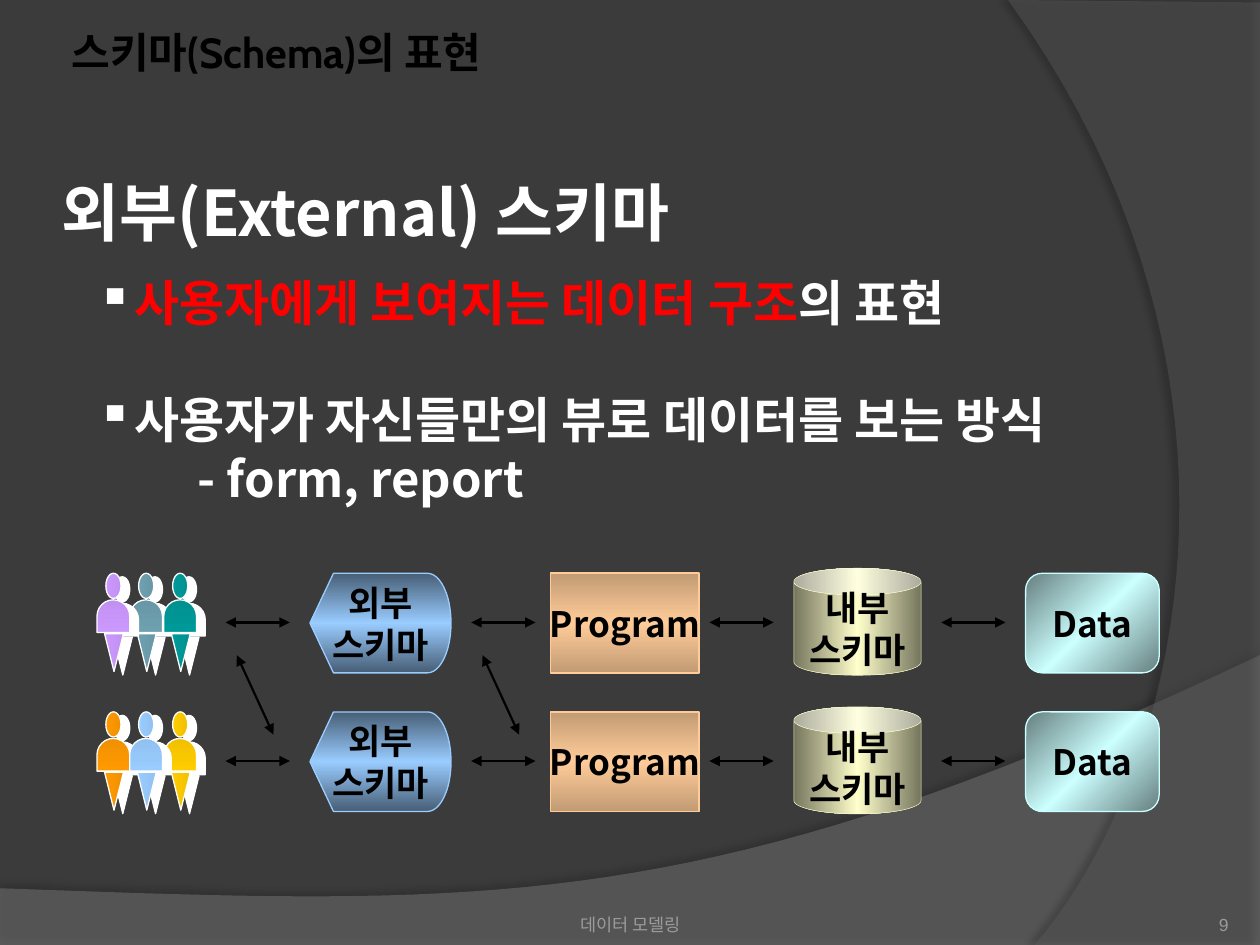
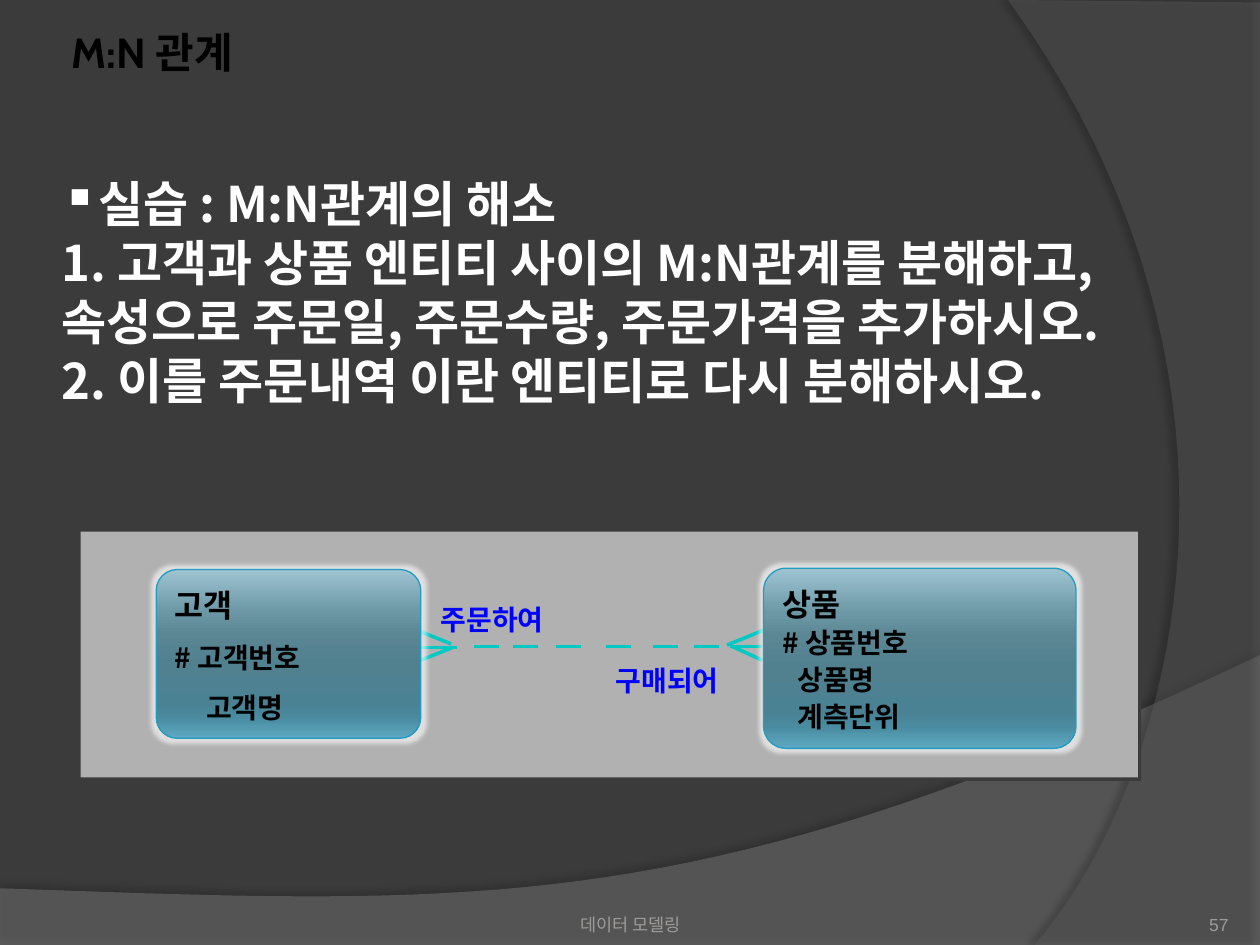
import pptx
import pptx.dml.color
import pptx.enum.shapes
import pptx.enum.text
import pptx.oxml
import pptx.oxml.ns
import pptx.util

Inches, Pt = pptx.util.Inches, pptx.util.Pt
qn = pptx.oxml.ns.qn
SHAPE = pptx.enum.shapes.MSO_SHAPE
STRAIGHT = pptx.enum.shapes.MSO_CONNECTOR.STRAIGHT
ALIGN, ANCHOR = pptx.enum.text.PP_ALIGN, pptx.enum.text.MSO_ANCHOR
NS = pptx.oxml.ns.nsdecls("a")
KOREAN = "Noto Sans CJK KR"
BACK, GREY, WHITE, BLACK = "3B3B3B", "9D9B9A", "FFFFFF", "000000"
RED, BLUE, TEAL = "FF0000", "0000FF", "00C8C3"


def paint(fill, *colors, angle=0, stops=None, alpha=100):
    """One colour gives a solid fill, several give a gradient (angle clockwise)."""
    if len(colors) == 1:
        fill.solid()
        fill.fore_color.rgb = pptx.dml.color.RGBColor.from_string(colors[0])
        if alpha < 100:
            color = fill._xPr.find(".//" + qn("a:srgbClr"))
            color.append(pptx.oxml.parse_xml(f'<a:alpha {NS} val="{alpha * 1000}"/>'))
        return
    fill.gradient()
    fill.gradient_angle = (360 - angle) % 360
    gs_list = fill._xPr.find(qn("a:gradFill")).find(qn("a:gsLst"))
    for gs in list(gs_list):
        gs_list.remove(gs)
    stops = stops or [100 * i // (len(colors) - 1) for i in range(len(colors))]
    for stop, color in zip(stops, colors):
        gs_list.append(pptx.oxml.parse_xml(
            f'<a:gs {NS} pos="{stop * 1000}"><a:srgbClr val="{color}"/></a:gs>'))


def write(sp, text, size=28, color=WHITE, font=KOREAN, bold=True, align=ALIGN.LEFT,
          anchor=ANCHOR.TOP, inset=(0.1, 0.05), wrap=True, left=0, hang=0,
          bullet=None, before=0, spacing=1):
    """Add one paragraph; text is a string or a list of (text, colour) runs."""
    tf = sp.text_frame
    tf.word_wrap, tf.vertical_anchor = wrap, anchor
    tf.margin_left = tf.margin_right = Inches(inset[0])
    tf.margin_top = tf.margin_bottom = Inches(inset[1])
    p = tf.add_paragraph() if tf.text else tf.paragraphs[0]
    p.alignment = align
    p.line_spacing = Pt(round(size * 1.2 * spacing, 1))
    if before:
        p.space_before = Pt(before)
    pPr = p._p.get_or_add_pPr()
    pPr.set("marL", str(Inches(left)))
    pPr.set("indent", str(Inches(-hang)))
    if bullet:
        pPr.append(pptx.oxml.parse_xml(
            f'<a:buClr {NS}><a:srgbClr val="{color}"/></a:buClr>'))
        pPr.append(pptx.oxml.parse_xml(f'<a:buChar {NS} char="{bullet}"/>'))
    for run_text, run_color in [(text, color)] if isinstance(text, str) else text:
        r = p.add_run()
        r.text = run_text
        r.font.size, r.font.bold, r.font.name = Pt(size), bold, font
        paint(r.font.fill, run_color)
        r._r.get_or_add_rPr().append(
            pptx.oxml.parse_xml(f'<a:ea {NS} typeface="{KOREAN}"/>'))


prs = pptx.Presentation()
prs.slide_width, prs.slide_height = Inches(10), Inches(7.5)
effects = []  # shape, colour, opacity, blur, distance (None for a glow), angle

# Shared backdrop, title and footer
bands = [
    ([(0, 7.5), (10, 7.5)], [(10, 5.2), (5.59, 7.29), (3.91, 7.19), (0, 7.05)],
     "7F7F7F", 45, (35, 4, 3.5, 270)),
    ([(10, 0.02), (10, 7.5)], [(8.21, 7.5), (9.35, 6.19), (10.18, 3), (8, 0)],
     "5E5E5E", 40, (45, 4, 4, 180)),
]
slides = []
for title, number in [("스키마(Schema)의 표현", "9"), ("M:N 관계", "57")]:
    s = prs.slides.add_slide(prs.slide_layouts[6])
    slides.append(s)
    paint(s.background.fill, BACK)
    for corners, curve, color, alpha, shadow in bands:
        outline = list(corners)
        for step in range(41):
            t = step / 40
            weights = ((1 - t) ** 3, 3 * t * (1 - t) ** 2, 3 * t * t * (1 - t), t ** 3)
            outline.append([sum(w * pt[axis] for w, pt in zip(weights, curve))
                            for axis in (0, 1)])
        points = [(Inches(x), Inches(y)) for x, y in outline]
        builder = s.shapes.build_freeform(*points[0], scale=1.0)
        builder.add_line_segments(points[1:], close=True)
        sp = builder.convert_to_shape()
        paint(sp.fill, color, alpha=alpha)
        sp.line.fill.background()
        effects.append((sp, BLACK, *shadow))
    for text, box, align in [("데이터 모델링", (3.42, 7.02, 3.17, 0.4), ALIGN.CENTER),
                             (number, (8.92, 7.02, 0.83, 0.4), ALIGN.RIGHT)]:
        sp = s.shapes.add_textbox(*map(Inches, box))
        write(sp, text, size=10, color=GREY, font="Arial", bold=False, align=align,
              anchor=ANCHOR.BOTTOM, inset=(0, 0))
    sp = s.shapes.add_textbox(*map(Inches, (0.47, 0.16, 8.94, 0.5)))
    write(sp, title, size=24, color=BLACK, font="Cabin")
schema, relation = slides

# Slide 1: external schema
sp = schema.shapes.add_textbox(*map(Inches, (0.39, 1.33, 9.3, 0.86)))
write(sp, "외부(External) 스키마", size=36)
sp = schema.shapes.add_textbox(*map(Inches, (0.39, 2.11, 9.3, 2.11)))
write(sp, [("사용자에게 보여지는 데이터 구조", RED), ("의 표현", WHITE)],
      left=0.58, hang=0.3, bullet="▪")
write(sp, "사용자가 자신들만의 뷰로 데이터를 보는 방식",
      left=0.58, hang=0.3, bullet="▪", before=33.6)
write(sp, "- form, report", left=1.08)

user_rows = [
    [(1.02, "6EA0B0", "6897A6"), (0.76, "CC99FF", "C191F1"), (1.29, "009999", "009191")],
    [(1.29, "FFCC00", "F1C100"), (0.76, "FF9900", "F19100"), (1.02, "99CCFF", "91C1F1")],
]
body_parts = [  # preset, offset from the user's left and top, size, rotation
    (SHAPE.FLOWCHART_DELAY, 0.01, 0.21, 0.26, 0.26, 270),
    (SHAPE.FLOWCHART_MERGE, 0.07, 0.48, 0.15, 0.3, 0),
    (SHAPE.OVAL, 0.08, 0, 0.12, 0.2, 0),
]
nodes = [  # preset, left, offset from row top, size, lines, edge, middle, angle, line width
    (SHAPE.FLOWCHART_DISPLAY, 2.46, 0, 1.12, 0.79, ["외부", "스키마"],
     "475E76", "99CCFF", 90, 0.75),
    (SHAPE.RECTANGLE, 4.37, 0, 1.18, 0.79, ["Program"], "C29B74", "FFCC99", 90, 1),
    (SHAPE.CAN, 6.3, -0.04, 1.01, 0.85, ["내부", "스키마"], "76765E", "FFFFCC", 0, 0.25),
    (SHAPE.ROUNDED_RECTANGLE, 8.14, 0, 1.06, 0.79, ["Data"],
     "667F7F", "CCFFFF", 45, 0.75),
]
arrows = [(x, 5.2, x + 0.29, 5.83) for x in (1.88, 3.83)]
for row, users in enumerate(user_rows):
    top = 4.55 + 1.1 * row
    for left, light, dark in users:
        for preset, dx, dy, w, h, rotation in body_parts:
            sp = schema.shapes.add_shape(
                preset, *map(Inches, (left + dx, top + dy, w, h)))
            sp.rotation = rotation
            paint(sp.fill, light, dark)
            paint(sp.line.fill, WHITE)
            sp.line.width = Pt(0.75)
            effects.append((sp, WHITE, 100, 0, 5.4, 22))
    for preset, left, dy, w, h, lines, edge, middle, angle, width in nodes:
        sp = schema.shapes.add_shape(preset, *map(Inches, (left, top + dy, w, h)))
        sp.shadow.inherit = False
        paint(sp.fill, edge, middle, edge, angle=angle)
        paint(sp.line.fill, middle)
        sp.line.width = Pt(width)
        for line in lines:
            write(sp, line, size=20, color=BLACK, align=ALIGN.CENTER,
                  anchor=ANCHOR.MIDDLE, inset=(0, 0), wrap=False)
    arrows += [(x, top + 0.39, x + 0.51, top + 0.39) for x in (1.79, 3.74, 5.63, 7.47)]

# Slide 2: many-to-many exercise
sp = relation.shapes.add_textbox(*map(Inches, (0.39, 1.33, 9.3, 2.27)))
write(sp, "실습 : M:N관계의 해소", left=0.24, hang=0.24, bullet="▪")
write(sp, "1. 고객과 상품 엔티티 사이의 M:N관계를 분해하고, "
          "속성으로 주문일, 주문수량, 주문가격을 추가하시오.")
write(sp, "2. 이를 주문내역 이란 엔티티로 다시 분해하시오.")

panel = relation.shapes.add_shape(
    SHAPE.RECTANGLE, *map(Inches, (0.64, 4.22, 8.39, 1.95)))
paint(panel.fill, "B1B1B1")
panel.line.fill.background()
effects.append((panel, BACK, 100, 0, 2.8, 45))
for label, box in [("구매되어", (4.79, 5.22, 1.17, 0.34)),
                   ("주문하여", (3.4, 4.73, 1.54, 0.34))]:
    write(relation.shapes.add_textbox(*map(Inches, box)), label, size=16, color=BLUE)

dashes = [(x, 5.13, x + 0.2, 5.13) for x in (3.76, 4.07, 4.41, 4.81, 5.18, 5.51)]
crow_feet = [(3.32, 5.14, 3.63, 5.14), (3.33, 5.01, 3.58, 5.11), (3.34, 5.24, 3.59, 5.14),
             (5.79, 5.13, 6.05, 5.13), (5.77, 5.12, 6.09, 4.99), (5.81, 5.13, 6.05, 5.24)]
for s, color, width, ends, segments in [
        (schema, BLACK, 1.25, ("headEnd", "tailEnd"), arrows),
        (relation, TEAL, 2, (), dashes + crow_feet)]:
    for segment in segments:
        line = s.shapes.add_connector(STRAIGHT, *map(Inches, segment))
        paint(line.line.fill, color)
        line.line.width = Pt(width)
        for end in ends:
            line.line._get_or_add_ln().append(
                pptx.oxml.parse_xml(f'<a:{end} {NS} type="triangle"/>'))
        line._element.spPr.append(pptx.oxml.parse_xml(f"<a:effectLst {NS}/>"))

entities = [  # box, name, attributes with their indent, line spacing
    ((6.06, 4.51, 2.48, 1.43), "상품",
     [("# 상품번호", 0), ("상품명", 0.12), ("계측단위", 0.12)], 1.1),
    ((1.24, 4.52, 2.1, 1.34), "고객", [("# 고객번호", 0), ("고객명", 0.25)], 1.5),
]
for box, name, attributes, spacing in entities:
    sp = relation.shapes.add_shape(SHAPE.ROUNDED_RECTANGLE, *map(Inches, box))
    sp.adjustments[0] = 0.125
    paint(sp.fill, "9EC4D2", "6C97A5", "5B8694", "51808F", "4A8294", "4A8BA0", "5DAAC2",
          angle=90, stops=(0, 25, 38, 55, 80, 88, 100))
    paint(sp.line.fill, "239BC2")
    sp.line.width = Pt(0.75)
    effects.append((sp, WHITE, 60, 5, None, 0))
    write(sp, name, size=18, color=BLACK, spacing=1.1)
    for attribute, indent in attributes:
        write(sp, attribute, size=16, color=BLACK, left=indent, spacing=spacing)

# Shadows and glows
for sp, color, alpha, blur, distance, angle in effects:
    sp.shadow.inherit = False
    tint = f'<a:srgbClr val="{color}"><a:alpha val="{alpha * 1000}"/></a:srgbClr>'
    if distance is None:
        xml = f'<a:glow {NS} rad="{Pt(blur)}">{tint}</a:glow>'
    else:
        xml = (f'<a:outerShdw {NS} blurRad="{Pt(blur)}" dist="{Pt(distance)}" '
               f'dir="{angle * 60000}" algn="ctr" rotWithShape="0">{tint}</a:outerShdw>')
    sp._element.spPr.find(qn("a:effectLst")).append(pptx.oxml.parse_xml(xml))

prs.save("out.pptx")
